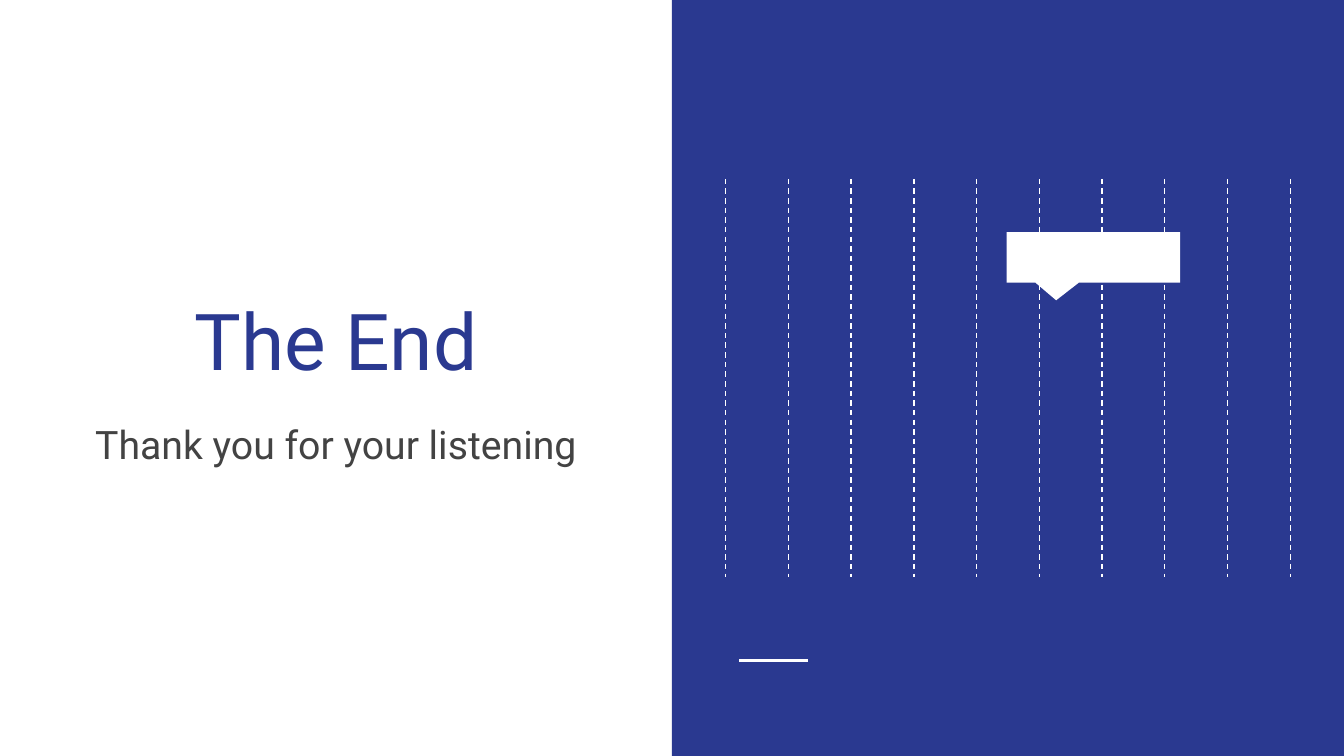
from dataclasses import dataclass

from lxml import etree
from pptx import Presentation
from pptx.dml.color import RGBColor
from pptx.enum.dml import MSO_LINE
from pptx.enum.shapes import MSO_CONNECTOR, MSO_SHAPE
from pptx.enum.text import MSO_ANCHOR, PP_ALIGN
from pptx.oxml.ns import qn
from pptx.util import Pt

RECTANGLE = MSO_SHAPE.RECTANGLE
CALLOUT = MSO_SHAPE.ROUNDED_RECTANGULAR_CALLOUT
STRAIGHT = MSO_CONNECTOR.STRAIGHT
DASH = MSO_LINE.DASH
TOP, BOTTOM = MSO_ANCHOR.TOP, MSO_ANCHOR.BOTTOM
CENTER = PP_ALIGN.CENTER

SLIDE_WIDTH, SLIDE_HEIGHT = 720, 405
HALF_WIDTH = SLIDE_WIDTH / 2


@dataclass(frozen=True)
class Theme:
    font: str = "Roboto"
    blue: RGBColor = RGBColor(0x2A, 0x39, 0x90)
    gray: RGBColor = RGBColor(0x43, 0x43, 0x43)
    white: RGBColor = RGBColor(0xFF, 0xFF, 0xFF)
    title_size: int = 42
    subtitle_size: int = 21


class SlideBuilder:
    def __init__(self, slide, theme):
        self.slide = slide
        self.theme = theme

    def background(self, color):
        fill = self.slide.background.fill
        fill.solid()
        fill.fore_color.rgb = color

    def shape(self, kind, left, top, width, height, color, adjustments=()):
        shape = self.slide.shapes.add_shape(
            kind, Pt(left), Pt(top), Pt(width), Pt(height))
        shape.shadow.inherit = False
        shape.fill.solid()
        shape.fill.fore_color.rgb = color
        shape.line.fill.background()
        for index, value in enumerate(adjustments):
            shape.adjustments[index] = value

    def line(self, x1, y1, x2, y2, weight, dash=None):
        line = self.slide.shapes.add_connector(
            STRAIGHT, Pt(x1), Pt(y1), Pt(x2), Pt(y2))
        line.line.color.rgb = self.theme.white
        line.line.width = Pt(weight)
        if dash is not None:
            line.line.dash_style = dash
        etree.SubElement(line._element.spPr, qn("a:effectLst"))

    def text(self, words, left, top, width, height, size, color, anchor):
        box = self.slide.shapes.add_textbox(
            Pt(left), Pt(top), Pt(width), Pt(height))
        frame = box.text_frame
        frame.word_wrap = True
        frame.vertical_anchor = anchor
        frame.margin_left = frame.margin_right = Pt(7.2)
        frame.margin_top = frame.margin_bottom = Pt(7.2)
        paragraph = frame.paragraphs[0]
        paragraph.alignment = CENTER
        run = paragraph.add_run()
        run.text = words
        run.font.name = self.theme.font
        run.font.size = Pt(size)
        run.font.color.rgb = color


def main():
    presentation = Presentation()
    presentation.slide_width = Pt(SLIDE_WIDTH)
    presentation.slide_height = Pt(SLIDE_HEIGHT)
    theme = Theme()
    slide = presentation.slides.add_slide(presentation.slide_layouts[6])
    builder = SlideBuilder(slide, theme)

    # Right panel with its short accent rule
    builder.background(theme.white)
    builder.shape(RECTANGLE, HALF_WIDTH, 0, HALF_WIDTH, SLIDE_HEIGHT, theme.blue)
    builder.line(396, 354, 432.8, 354, 1.5)

    # Evenly spaced dashed grid lines
    grid_left, grid_right, grid_count = 388.8, 691.2, 10
    grid_step = (grid_right - grid_left) / (grid_count - 1)
    for index in range(grid_count):
        x = grid_left + index * grid_step
        builder.line(x, 95.8, x, 308.9, 0.75, DASH)

    # Closing words
    text_left, text_width = 21, 318
    builder.text("The End", text_left, 90.7, text_width, 123.1,
                 theme.title_size, theme.blue, BOTTOM)
    builder.text("Thank you for your listening", text_left, 218.2, text_width, 100,
                 theme.subtitle_size, theme.gray, TOP)

    # Empty callout over the grid
    builder.shape(CALLOUT, 539.2, 124.4, 93, 27, theme.white, (-0.214, 0.85, 0))

    presentation.save("out.pptx")


if __name__ == "__main__":
    main()
